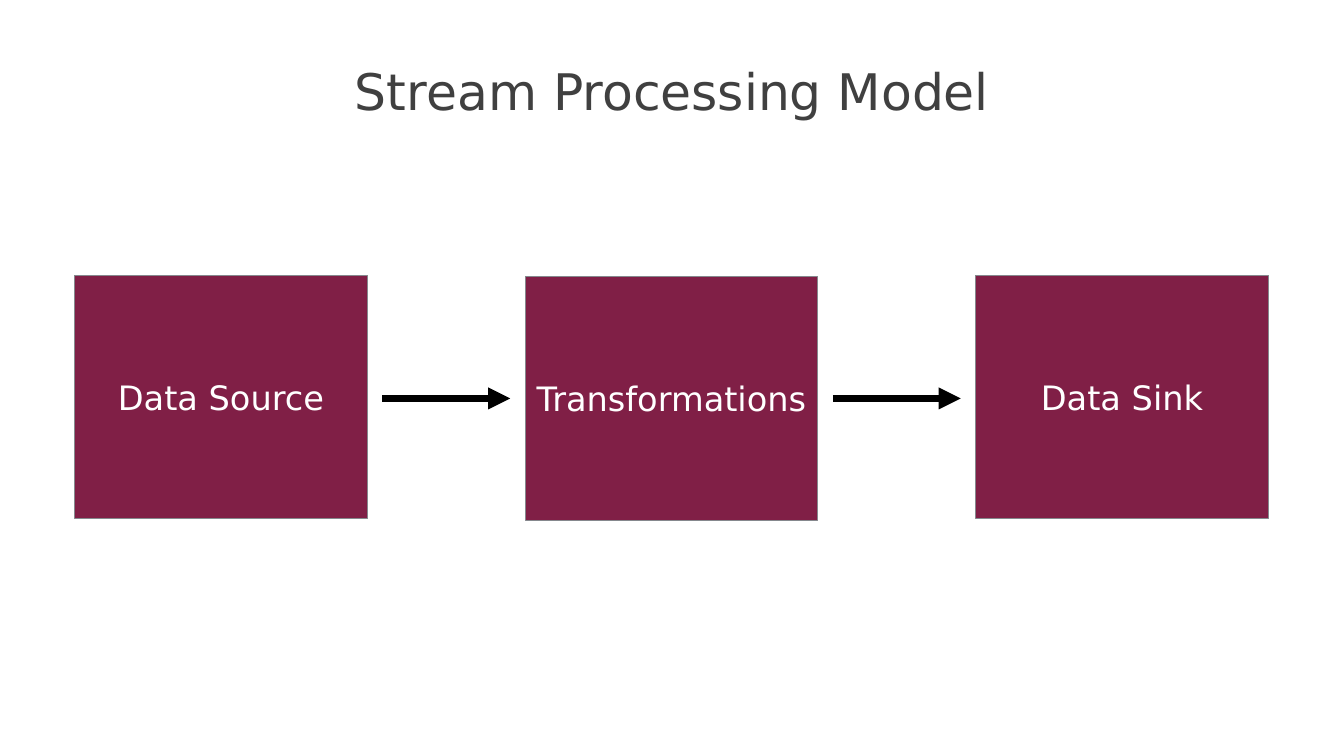
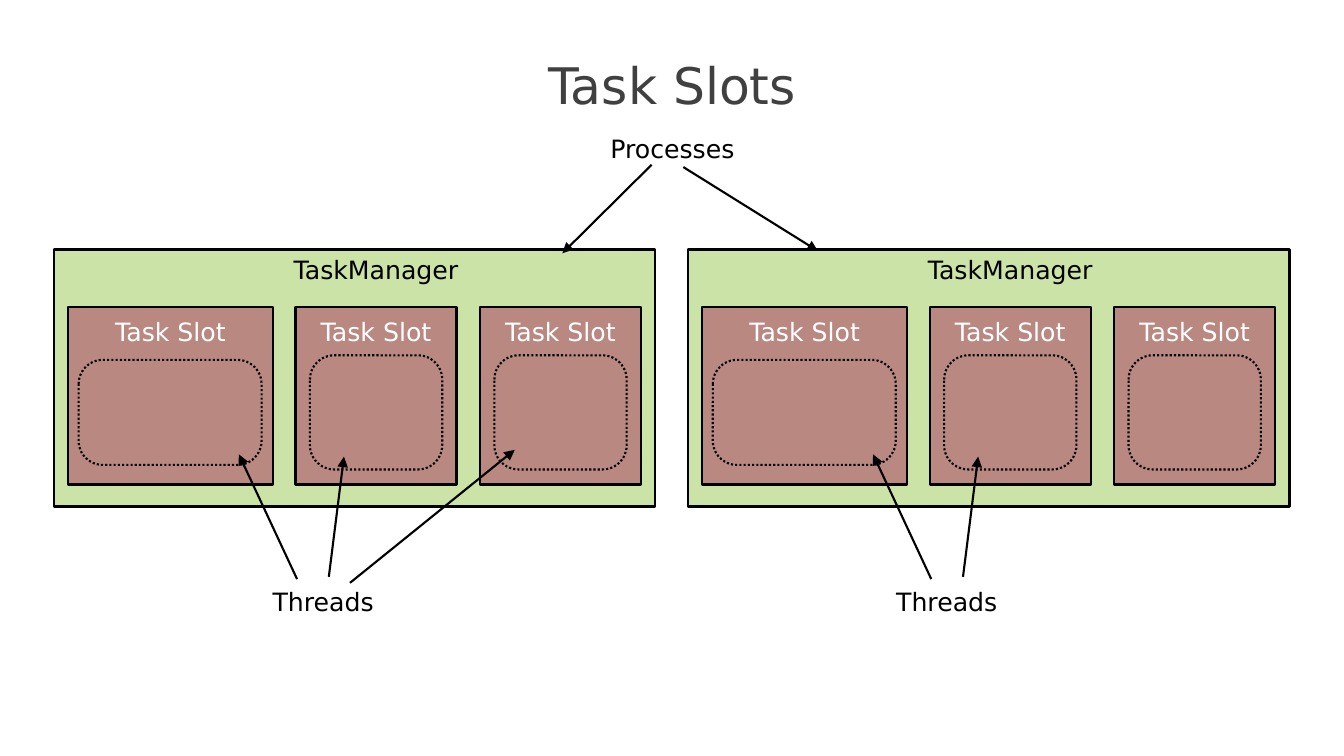
from pptx import Presentation
from pptx import util as u
from pptx.dml.color import RGBColor
from pptx.enum import dml, shapes, text
from pptx.oxml.ns import qn
from lxml import etree

PX = 9144  # 100 px to the inch
FONT = "DejaVu Sans"
COLORS = {
    "title": "404040",
    "ink": "000000",
    "white": "FFFFFF",
    "stage": "801F46",
    "stage_line": "85888D",
    "manager": "9BC850",
    "slot": "A62E5C",
}
TITLE_AREA = (335, 71, 1109, 96)
MANAGER_SIZE = (796, 340)
MANAGER_TOP = 330
MANAGER_LEFTS = (71, 910)
SLOT_TOP, SLOT_HEIGHT = 406, 235
# Slot left (from the manager) and width, then its thread's inset, top, width and height
SLOTS = (
    (19, 271, (14, 476, 242, 139)),
    (320, 213, (19, 470, 175, 151)),
    (564, 213, (19, 470, 175, 151)),
)
# Thread arrows, with x measured from the manager's left side
THREAD_ARROWS = (
    (322, 766, 245, 601),
    (364, 763, 384, 604),
    (392, 771, 610, 595),
)


def color(name):
    return RGBColor.from_string(COLORS[name])


def emu(lengths):
    return [u.Emu(length * PX) for length in lengths]


def write(shape, words, size, ink, margins=(0, 0, 0, 0), anchor=text.MSO_ANCHOR.TOP):
    """Put one centred line in a shape; margins are left, top, right, bottom."""
    left, top, right, bottom = emu(margins)
    frame = shape.text_frame
    settings = {
        "margin_left": left, "margin_top": top,
        "margin_right": right, "margin_bottom": bottom,
        "word_wrap": True, "auto_size": text.MSO_AUTO_SIZE.NONE,
        "vertical_anchor": anchor,
    }
    for name, value in settings.items():
        setattr(frame, name, value)
    para = frame.paragraphs[0]
    para.alignment = text.PP_ALIGN.CENTER
    span = para.add_run()
    span.text = words
    for name, value in {"name": FONT, "size": u.Pt(size), "bold": False}.items():
        setattr(span.font, name, value)
    span.font.color.rgb = color(ink)


def add_titled_page(deck, title, top_margin):
    page = deck.slides.add_slide(deck.slide_layouts[5])
    heading = page.shapes.title
    heading.left, heading.top, heading.width, heading.height = emu(TITLE_AREA)
    write(heading, title, 48, "title", (0, top_margin, 0, 0))
    return page


def add_box(page, area, fill=None, line="ink", weight=2, opacity=100,
            kind=shapes.MSO_SHAPE.RECTANGLE):
    box = page.shapes.add_shape(kind, *emu(area))
    box.shadow.inherit = False
    box.line.color.rgb = color(line)
    box.line.width = u.Pt(weight)
    if fill is None:
        box.fill.background()
        return box
    box.fill.solid()
    box.fill.fore_color.rgb = color(fill)
    if opacity < 100:
        tint = box._element.spPr.find(qn("a:solidFill"))[0]
        etree.SubElement(tint, qn("a:alpha"), val=str(opacity * 1000))
    return box


def add_label(page, words, area):
    label = page.shapes.add_textbox(*emu(area))
    write(label, words, 24, "ink", (0, 1, 0, 0))


def add_arrow(page, ends, weight=2, head="lg"):
    arrow = page.shapes.add_connector(shapes.MSO_CONNECTOR.STRAIGHT, *emu(ends))
    arrow.line.color.rgb = color("ink")
    arrow.line.width = u.Pt(weight)
    outline = arrow.line._get_or_add_ln()
    etree.SubElement(outline, qn("a:tailEnd"), type="triangle", w=head, len=head)
    etree.SubElement(arrow._element.spPr, qn("a:effectLst"))


def add_thread(page, area):
    thread = add_box(page, area, kind=shapes.MSO_SHAPE.ROUNDED_RECTANGLE)
    thread.adjustments[0] = 32 / min(area[2:])
    thread.line.dash_style = dml.MSO_LINE.ROUND_DOT


def add_task_manager(page, left):
    manager = add_box(page, (left, MANAGER_TOP, *MANAGER_SIZE), "manager", opacity=50)
    write(manager, "TaskManager", 24, "ink", (57, 7, 0, 0))
    for offset, width, (inset, *thread_area) in SLOTS:
        slot_left = left + offset
        slot = add_box(page, (slot_left, SLOT_TOP, width, SLOT_HEIGHT), "slot", opacity=50)
        write(slot, "Task Slot", 24, "white", (0, 12, 0, 0))
        add_thread(page, (slot_left + inset, *thread_area))


def add_stream_page(deck):
    page = add_titled_page(deck, "Stream Processing Model", 9)
    pitch = 596
    stages = (("Data Source", 364), ("Transformations", 366), ("Data Sink", 364))
    for column, (words, top) in enumerate(stages):
        shift = column * pitch
        stage = add_box(page, (99 + shift, top, 387, 322), "stage", "stage_line", 1)
        write(stage, words, 32, "white", anchor=text.MSO_ANCHOR.MIDDLE)
        if column < len(stages) - 1:
            add_arrow(page, (506 + shift, 527, 675 + shift, 527), 7, "med")


def add_slots_page(deck):
    page = add_titled_page(deck, "Task Slots", 1)
    # The second manager has arrows to its first two threads only
    for left, label_left, arrow_count in zip(MANAGER_LEFTS, (359, 1184), (3, 2)):
        add_task_manager(page, left)
        for x1, y1, x2, y2 in THREAD_ARROWS[:arrow_count]:
            add_arrow(page, (left + x1, y1, left + x2, y2))
        add_label(page, "Threads", (label_left, 775, 137, 43))
    add_label(page, "Processes", (805, 176, 169, 43))
    for ends in ((862, 218, 744, 335), (904, 221, 1082, 332)):
        add_arrow(page, ends)


def main():
    deck = Presentation()
    deck.slide_width, deck.slide_height = emu((1778, 1000))
    add_stream_page(deck)
    add_slots_page(deck)
    deck.save("out.pptx")


if __name__ == "__main__":
    main()
